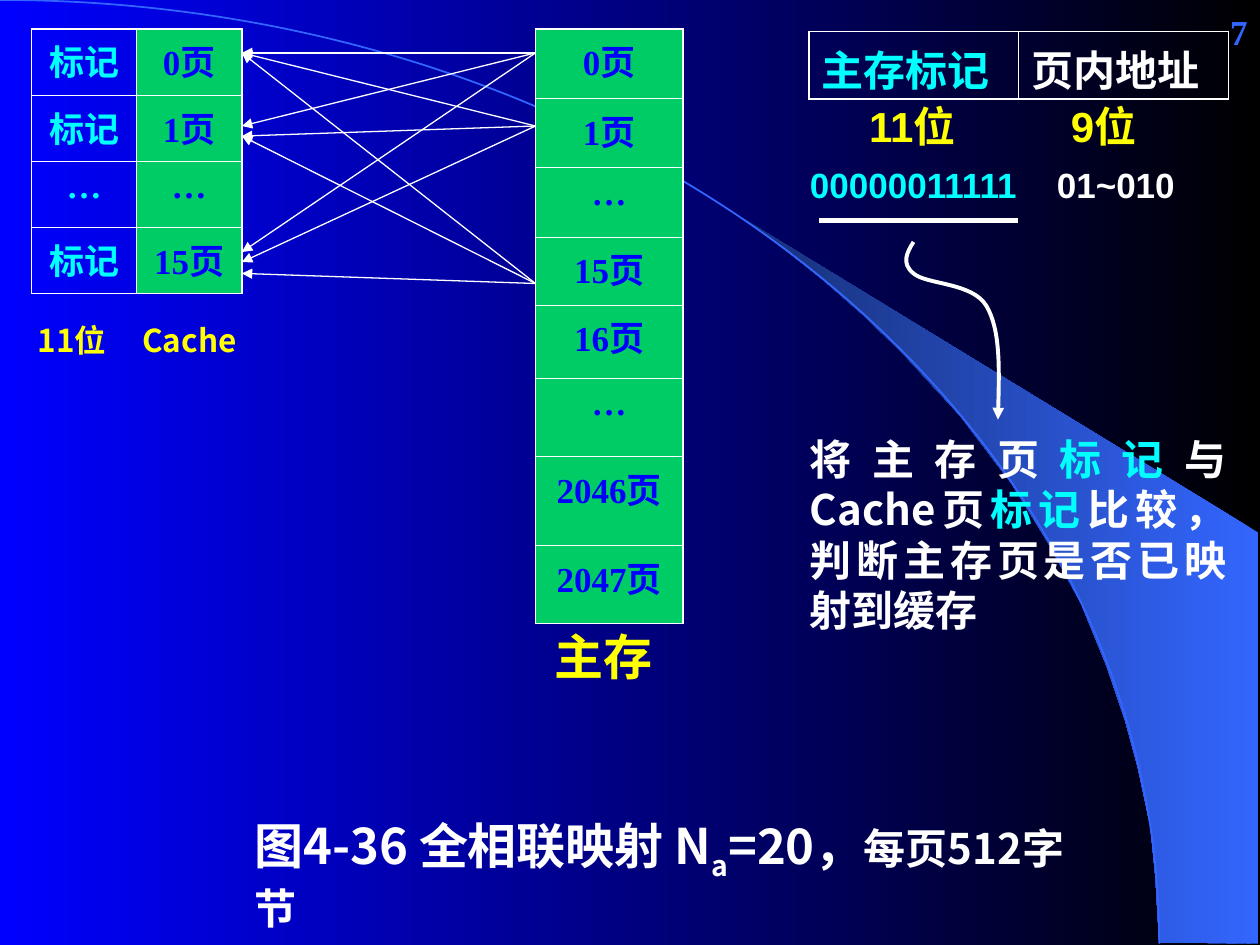
from typing import NamedTuple, Optional

from lxml.etree import SubElement
from pptx import Presentation
from pptx.dml.color import RGBColor
from pptx.enum.shapes import MSO_CONNECTOR as Link
from pptx.enum.text import MSO_ANCHOR as Anchor, MSO_AUTO_SIZE as Fit, PP_ALIGN as Align
from pptx.oxml.ns import qn
from pptx.util import Inches, Pt

BLACK = RGBColor(0x00, 0x00, 0x00)
BLUE = RGBColor(0x00, 0x00, 0xFF)
SKY = RGBColor(0x33, 0x66, 0xFF)
NAVY = RGBColor(0x17, 0x2F, 0x75)
CYAN = RGBColor(0x00, 0xFF, 0xFF)
GREEN = RGBColor(0x00, 0xCC, 0x66)
YELLOW = RGBColor(0xFF, 0xFF, 0x00)
WHITE = RGBColor(0xFF, 0xFF, 0xFF)

SANS, SERIF, ARIAL = "Noto Sans CJK SC", "Times New Roman", "Arial"

Point = tuple[float, float]
Box = tuple[float, float, float, float]


class Span(NamedTuple):
    text: str
    size: float
    color: RGBColor
    font: str = SANS
    base: int = 0


class Label(NamedTuple):
    box: Box
    spans: list[Span]
    align: Align = Align.LEFT
    tabs: tuple[float, ...] = ()
    fit: Fit = Fit.SHAPE_TO_FIT_TEXT
    anchor: Anchor = Anchor.TOP


class Column(NamedTuple):
    texts: list[str]
    color: RGBColor
    fill: Optional[RGBColor] = None


class Grid(NamedTuple):
    at: Point
    width: float
    rows: list[float]
    cols: list[Column]
    size: float = 20
    align: Align = Align.CENTER
    foot: float = 0.05


class Curve(NamedTuple):
    box: Box
    knots: list[Point]
    color: RGBColor
    width: float
    arrow: bool = False


LABELS = [
    Label((0.09, 2.5, 1.99, 0.4), [Span("\t11位\tCache", 18, YELLOW)], tabs=(0.11, 0.94)),
    Label((4.08, 4.92, 1.42, 0.57), [Span("主存", 28, YELLOW)], Align.CENTER),
    Label((6.58, 0.75, 2.83, 0.5), [Span("\t11位\t9位", 24, YELLOW, ARIAL)],
          tabs=(0.22, 1.82)),
    Label((6.33, 3.39, 3.5, 1.7), [
        Span("将主存页", 24, WHITE), Span("标记", 24, CYAN), Span("与Cache页", 24, WHITE),
        Span("标记", 24, CYAN), Span("比较，判断主存页是否已映射到缓存", 24, WHITE),
    ], Align.JUSTIFY),
    Label((1.92, 6.42, 6.92, 1.03), [
        Span("图4-36 全相联映射 N", 28, WHITE), Span("a", 28, WHITE, base=-25000),
        Span("=20，", 28, WHITE), Span("每页512字节", 24, WHITE),
    ]),
    Label((6.33, 1.25, 3.5, 0.44), [
        Span("00000011111", 20, CYAN, ARIAL), Span("\t01~010", 20, WHITE, ARIAL),
    ], tabs=(1.96,)),
    Label((7.92, 0, 2.08, 0.5), [Span("7", 20, SKY, SERIF)], Align.RIGHT,
          fit=Fit.NONE, anchor=Anchor.MIDDLE),
]

GRIDS = [
    Grid((0.25, 0.23), 1.67, [2.1 / 4] * 4, [
        Column(["标记", "标记", "…", "标记"], CYAN),
        Column(["0页", "1页", "…", "15页"], BLUE, GREEN),
    ]),
    Grid((4.25, 0.23), 1.17, [0.55, 0.55, 0.55, 0.54, 0.58, 0.62, 0.71, 0.62], [
        Column(["0页", "1页", "…", "15页", "16页", "…", "2046页", "2047页"], BLUE, GREEN),
    ]),
    Grid((6.42, 0.25), 3.33, [0.5], [
        Column(["主存标记"], CYAN), Column(["页内地址"], WHITE),
    ], 24, Align.LEFT, foot=0),
]

# Height of each memory page, with the heights it maps to in the cache
MAPS = {0.42: (0.42, 1, 2), 2.25: (0.42, 1.08, 2.17), 1: (0.42, 1.08, 2.08)}

WEDGE = [
    (9.2, 7.48), (9.99, 7.49), (9.99, 4.23), (5.89, 1.73), (6.24, 1.99), (6.53, 2.22),
    (6.85, 2.5), (7.16, 2.8), (7.62, 3.3), (8.03, 3.84), (8.32, 4.31), (8.58, 4.79),
    (8.78, 5.28), (8.93, 5.72), (9.03, 6.09), (9.13, 6.56), (9.17, 6.96),
]
ARC = Curve((-9.2, 0, 18.4, 14.97), [(0, 0), (5.08, 0), (9.2, 3.35), (9.2, 7.49)], SKY, 1)
SWIRL = Curve((7.15, 1.92, 0.79, 1.42), [
    (7.25, 1.92), (7.2, 2), (7.15, 2.09), (7.25, 2.17), (7.35, 2.26),
    (7.72, 2.24), (7.83, 2.43), (7.94, 2.62), (7.93, 2.98), (7.92, 3.33),
], WHITE, 2.25, arrow=True)


def shade(fill, start: RGBColor, end: RGBColor) -> None:
    """Fill with a gradient that runs from right to left."""
    fill.gradient()
    fill.gradient_angle = 180
    for stop, color, pos in zip(fill.gradient_stops, (start, end), (0, 1)):
        stop.color.rgb, stop.position = color, pos


def outline(slide, points: list[Point], closed: bool = False):
    spots = [(Inches(x), Inches(y)) for x, y in points]
    maker = slide.shapes.build_freeform(*spots[0])
    maker.add_line_segments(spots[1:], close=closed)
    shape = maker.convert_to_shape()
    shape.shadow.inherit = False
    return shape


def stroke(shape, color: RGBColor, width: float, arrow: bool = False) -> None:
    shape.line.color.rgb, shape.line.width = color, Pt(width)
    if arrow:
        SubElement(shape.line._get_or_add_ln(), qn("a:tailEnd"), type="triangle")


def draw_curve(slide, curve: Curve) -> None:
    """Frame the box with a freeform, then run cubic Beziers through its knots."""
    left, top, width, height = curve.box
    shape = outline(slide, [(left, top), (left + width, top + height)])
    track = next(shape._element.iter(qn("a:path")))
    for part in list(track):
        track.remove(part)
    for i, (x, y) in enumerate(curve.knots):
        if i == 0:
            step = SubElement(track, qn("a:moveTo"))
        elif i % 3 == 1:
            step = SubElement(track, qn("a:cubicBezTo"))
        SubElement(step, qn("a:pt"), x=str(Inches(x - left)), y=str(Inches(y - top)))
    shape.fill.background()
    stroke(shape, curve.color, curve.width, curve.arrow)


def link(slide, start: Point, end: Point, width: float, arrow: bool = False) -> None:
    line = slide.shapes.add_connector(Link.STRAIGHT, *map(Inches, start + end))
    stroke(line, WHITE, width, arrow)
    SubElement(line._element.spPr, qn("a:effectLst"))


def write(para, span: Span) -> None:
    run = para.add_run()
    run.text = span.text
    font = run.font
    font.size, font.bold, font.name = Pt(span.size), True, span.font
    font.color.rgb = span.color
    props = run._r.get_or_add_rPr()
    SubElement(props, qn("a:ea"), typeface=SANS)
    if span.base:
        props.set("baseline", str(span.base))


def draw_label(slide, label: Label) -> None:
    frame = slide.shapes.add_textbox(*map(Inches, label.box)).text_frame
    frame.word_wrap, frame.auto_size = True, label.fit
    frame.vertical_anchor = label.anchor
    para = frame.paragraphs[0]
    para.alignment = label.align
    if label.tabs:
        stops = SubElement(para._p.get_or_add_pPr(), qn("a:tabLst"))
        for pos in label.tabs:
            SubElement(stops, qn("a:tab"), pos=str(Inches(pos)), algn="l")
    for span in label.spans:
        write(para, span)


def edge(cell, side: str, outer: bool) -> None:
    width = Pt(1.08 if outer else 0.45)
    line = SubElement(cell._tc.get_or_add_tcPr(), qn("a:ln" + side), w=str(width))
    SubElement(SubElement(line, qn("a:solidFill")), qn("a:srgbClr"), val=str(WHITE))


def draw_grid(slide, grid: Grid) -> None:
    high, wide = len(grid.rows), len(grid.cols)
    size = (grid.width, sum(grid.rows))
    table = slide.shapes.add_table(high, wide, *map(Inches, grid.at + size)).table
    table.first_row = table.horz_banding = False
    for row, height in zip(table.rows, grid.rows):
        row.height = Inches(height)
    for c, col in enumerate(grid.cols):
        table.columns[c].width = Inches(grid.width / wide)
        for r, text in enumerate(col.texts):
            cell = table.cell(r, c)
            cell.margin_bottom = Inches(grid.foot)
            rims = {"L": c == 0, "R": c == wide - 1, "T": r == 0, "B": r == high - 1}
            for side, outer in rims.items():
                edge(cell, side, outer)
            if col.fill is None:
                cell.fill.background()
            else:
                cell.fill.solid()
                cell.fill.fore_color.rgb = col.fill
            para = cell.text_frame.paragraphs[0]
            para.alignment = grid.align
            write(para, Span(text, grid.size, col.color, SERIF))


def main() -> None:
    deck = Presentation()
    deck.slide_width, deck.slide_height = Inches(10), Inches(7.5)
    slide = deck.slides.add_slide(deck.slide_layouts[6])
    shade(slide.background.fill, BLACK, BLUE)
    wedge = outline(slide, WEDGE, closed=True)
    shade(wedge.fill, SKY, NAVY)
    wedge.line.fill.background()
    draw_curve(slide, ARC)
    for grid in GRIDS:
        draw_grid(slide, grid)
    for page, slots in MAPS.items():
        for slot in slots:
            link(slide, (4.25, page), (1.92, slot), 0.75, arrow=True)
    link(slide, (6.5, 1.75), (8.08, 1.75), 3)
    draw_curve(slide, SWIRL)
    for label in LABELS:
        draw_label(slide, label)
    deck.save("out.pptx")


if __name__ == "__main__":
    main()
